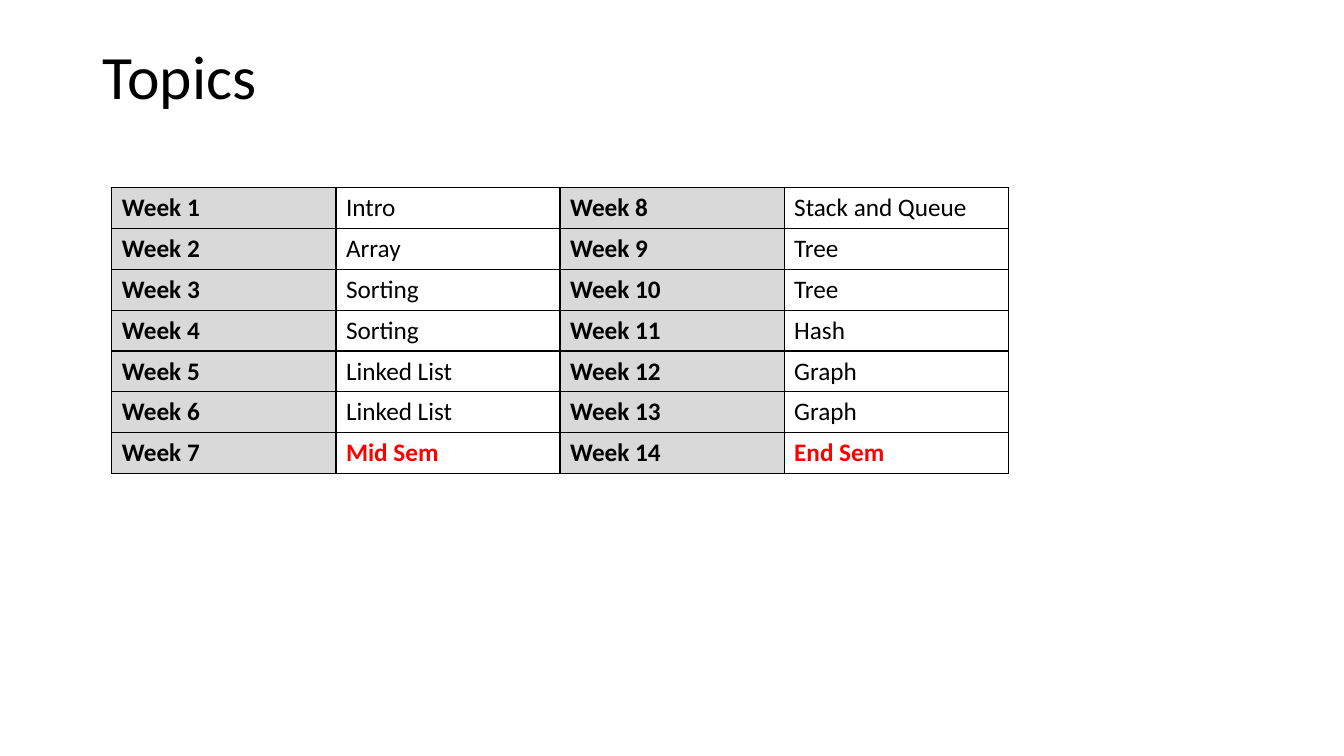
from lxml.etree import SubElement
from pptx import Presentation
from pptx.dml.color import RGBColor
from pptx.enum.text import MSO_ANCHOR, PP_ALIGN
from pptx.oxml.ns import qn
from pptx.util import Inches, Pt

TOPICS = [
    "Intro", "Array", "Sorting", "Sorting", "Linked List", "Linked List", "Mid Sem",
    "Stack and Queue", "Tree", "Tree", "Hash", "Graph", "Graph", "End Sem",
]
EXAMS = {"Mid Sem", "End Sem"}
WEEKS_PER_COLUMN = 7


def color(hex_text):
    """Turn a hex string into a colour."""
    return RGBColor.from_string(hex_text)


def write(text_frame, text, font="Calibri", size=18, bold=False, ink="000000", spacing=1.0):
    """Put one formatted paragraph into a text frame."""
    paragraph = text_frame.paragraphs[0]
    paragraph.alignment = PP_ALIGN.LEFT
    paragraph.line_spacing = spacing
    run = paragraph.add_run()
    run.text = text
    run.font.name = font
    run.font.size = Pt(size)
    run.font.bold = bold
    run.font.color.rgb = color(ink)


class TopicsSlide:
    """A title-only slide with the style of the weekly plan."""

    ink = "000000"
    exam_ink = "FF0000"
    week_fill = "D9D9D9"
    topic_fill = "FFFFFF"

    def __init__(self, presentation):
        """Add the slide to the presentation."""
        self.slide = presentation.slides.add_slide(presentation.slide_layouts[5])

    def title(self, text, left, top, width, height):
        """Place and format the title placeholder."""
        shape = self.slide.shapes.title
        shape.left, shape.top = Inches(left), Inches(top)
        shape.width, shape.height = Inches(width), Inches(height)
        shape.text_frame.vertical_anchor = MSO_ANCHOR.MIDDLE
        write(shape.text_frame, text, size=44, ink=self.ink, spacing=0.9)

    def cell(self, cell, text, fill, **text_format):
        """Fill, border and write one table cell."""
        properties = cell._tc.get_or_add_tcPr()
        for side in ("a:lnL", "a:lnR", "a:lnT", "a:lnB"):
            line = SubElement(properties, qn(side), w=str(Pt(1)))
            line_fill = SubElement(line, qn("a:solidFill"))
            SubElement(line_fill, qn("a:srgbClr"), val=self.ink)
        cell.fill.solid()
        cell.fill.fore_color.rgb = color(fill)
        write(cell.text_frame, text, **text_format)

    def schedule(self, topics, left, top, width, height):
        """Add the table of weeks and topics, filled column by column."""
        columns = 2 * len(topics) // WEEKS_PER_COLUMN
        table = self.slide.shapes.add_table(
            WEEKS_PER_COLUMN, columns,
            Inches(left), Inches(top), Inches(width), Inches(height),
        ).table
        table.first_row = table.horz_banding = False
        for index, topic in enumerate(topics):
            block, row = divmod(index, WEEKS_PER_COLUMN)
            exam = topic in EXAMS
            self.cell(table.cell(row, 2 * block), f"Week {index + 1}", self.week_fill, bold=True)
            self.cell(table.cell(row, 2 * block + 1), topic, self.topic_fill,
                      bold=exam, ink=self.exam_ink if exam else self.ink)


def main():
    """Build and save the presentation."""
    presentation = Presentation()
    presentation.slide_width, presentation.slide_height = Inches(13.33), Inches(7.5)
    topics_slide = TopicsSlide(presentation)
    topics_slide.title("Topics", 0.92, 0.4, 11.5, 0.77)
    topics_slide.schedule(TOPICS, 1.11, 1.86, 8.89, 2.84)
    presentation.save("out.pptx")


if __name__ == "__main__":
    main()
